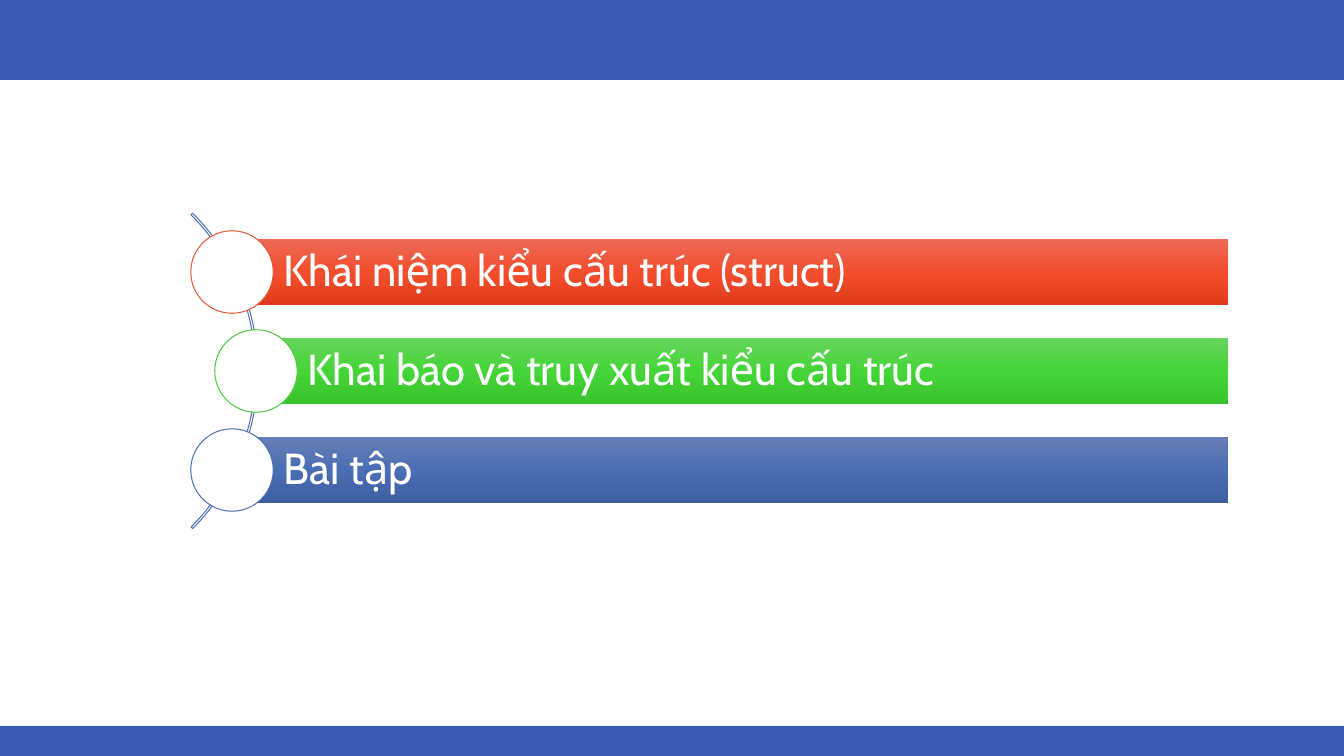
from copy import deepcopy

from pptx import Presentation
from pptx.dml.color import RGBColor
from pptx.enum.shapes import MSO_SHAPE
from pptx.enum.text import MSO_ANCHOR, PP_ALIGN
from pptx.oxml.ns import qn
from pptx.util import Emu, Pt

RECTANGLE, OVAL, BLOCK_ARC = MSO_SHAPE.RECTANGLE, MSO_SHAPE.OVAL, MSO_SHAPE.BLOCK_ARC
MIDDLE, LEFT = MSO_ANCHOR.MIDDLE, PP_ALIGN.LEFT

PX = 914400 / 100.8
SLIDE_WIDTH, SLIDE_HEIGHT = 1344, 756

COLORS = {"band": "3A5BB3", "white": "FFFFFF", "arc": "5172B1"}

TOPICS = [
    ("Khái niệm kiểu cấu trúc (struct)", ("ED6A57", "F14E2D", "E03C1C"), "EA5436"),
    ("Khai báo và truy xuất kiểu cấu trúc", ("65D45D", "46D538", "37C329"), "4DCE41"),
    ("Bài tập", ("677FB7", "4A6EB3", "3D5EA2"), "5070AF"),
]


def px(length):
    return Emu(round(length * PX))


def set_values(target, values):
    for name, value in values.items():
        setattr(target, name, value)


def add_outline(slide, kind, box, fill=None, line=None):
    shape = slide.shapes.add_shape(kind, *map(px, box))
    shape.shadow.inherit = False
    if fill:
        shape.fill.solid()
        shape.fill.fore_color.rgb = RGBColor.from_string(fill)
    else:
        shape.fill.background()
    if line:
        shape.line.color.rgb = RGBColor.from_string(line)
        shape.line.width = Pt(0.75)
    else:
        shape.line.fill.background()
    return shape


def fill_gradient(shape, colors):
    shape.fill.gradient()
    shape.fill.gradient_angle = 270
    stop_list = shape._element.spPr.find(".//" + qn("a:gsLst"))
    stop_list.append(deepcopy(stop_list[-1]))
    for index, (stop, color) in enumerate(zip(shape.fill.gradient_stops, colors)):
        stop.position = index / (len(colors) - 1)
        stop.color.rgb = RGBColor.from_string(color)


def write_label(shape, text):
    frame = shape.text_frame
    set_values(frame, {
        "word_wrap": True, "vertical_anchor": MIDDLE, "margin_left": px(52),
        "margin_top": px(9), "margin_right": px(9), "margin_bottom": px(9),
    })
    paragraph = frame.paragraphs[0]
    set_values(paragraph, {"alignment": LEFT, "line_spacing": 0.9})
    run = paragraph.add_run()
    run.text = text
    set_values(run.font, {"name": "Cabin", "size": Pt(31)})
    run.font.color.rgb = RGBColor.from_string(COLORS["white"])


def add_topic(slide, box, text, gradient, outline):
    left, top, width, height = box
    bar = add_outline(slide, RECTANGLE, box)
    fill_gradient(bar, gradient)
    write_label(bar, text)
    diameter = height * 5 / 4
    circle_box = (left - diameter / 2, top + (height - diameter) / 2, diameter, diameter)
    add_outline(slide, OVAL, circle_box, COLORS["white"], outline)


def add_agenda(slide, box):
    left, top, width, height = box
    arc_size, bar_height, bulge = 446, 66, 24
    arc_box = (left - 420, top + (height - arc_size) / 2, arc_size, arc_size)
    arc = add_outline(slide, BLOCK_ARC, arc_box, line=COLORS["arc"])
    for index, value in enumerate((189, 27, 0.005)):
        arc.adjustments[index] = value
    pitch = (height - bar_height) / (len(TOPICS) - 1)
    for index, topic in enumerate(TOPICS):
        indent = bulge * (index % 2)
        bar_box = (left + indent, top + index * pitch, width - indent, bar_height)
        add_topic(slide, bar_box, *topic)


def add_bands(slide, box):
    left, top, width, height = box
    header, footer = 80, 30
    for band_top, band_height in ((top, header), (top + height - footer, footer)):
        add_outline(slide, RECTANGLE, (left, band_top, width, band_height), COLORS["band"])


def main():
    presentation = Presentation()
    set_values(presentation, {
        "slide_width": px(SLIDE_WIDTH), "slide_height": px(SLIDE_HEIGHT),
    })
    slide = presentation.slides.add_slide(presentation.slide_layouts[6])
    add_bands(slide, (0, 0, SLIDE_WIDTH, SLIDE_HEIGHT))
    add_agenda(slide, (232, 239, 996, 264))
    presentation.save("out.pptx")


if __name__ == "__main__":
    main()
